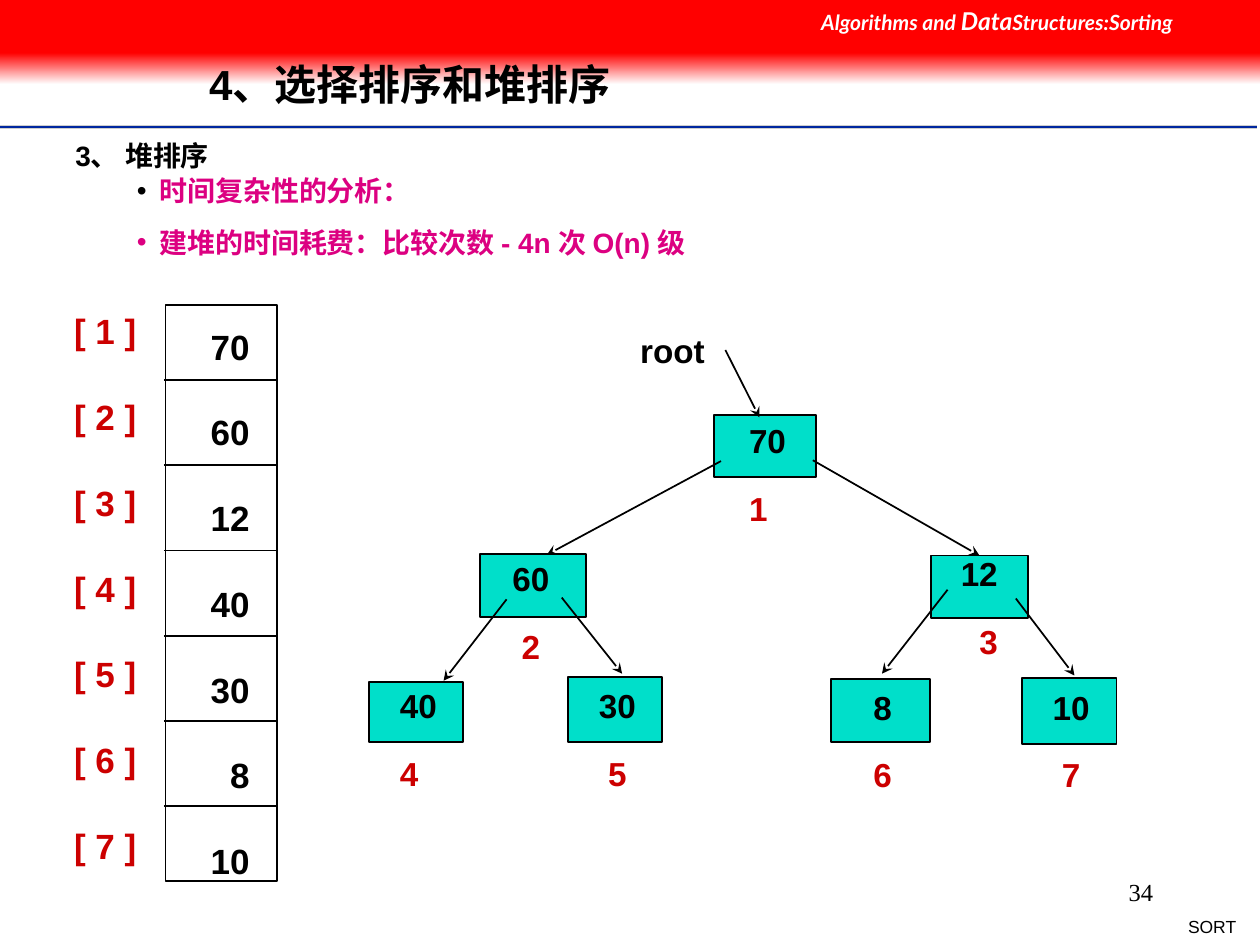
"""Build a slide that shows heap sort as an array beside its binary tree."""
from math import dist
from lxml import etree
from pptx import Presentation
from pptx.dml.color import RGBColor
from pptx.enum import shapes, text
from pptx.oxml.ns import qn
from pptx.util import Pt

BLACK, WHITE, RED, BANNER, PINK, TEAL = "000000", "FFFFFF", "CC0000", "FF0000", "DC0081", "00DFCA"
LEFT, RIGHT = text.PP_ALIGN.LEFT, text.PP_ALIGN.RIGHT

TITLE = "4、选择排序和堆排序"
HEADING = "3、 堆排序"
POINTS = [("时间复杂性的分析：", BLACK), ("建堆的时间耗费：比较次数 - 4n 次 O(n) 级", PINK)]
COURSE = [("Algorithms and ", 12), ("Data", 14), ("Structures:Sorting", 12)]
HEAP = [70, 60, 12, 40, 30, 8, 10]
RULES = [("CECECE", 2, 72.7), ("00279F", 1, 72.7), (WHITE, 1, 74.2)]
NODES = [
    {"box": (408, 237, 58.5, 35.5), "label": (422, 237), "indent": 0},
    {"box": (274.5, 316.5, 60.5, 36), "label": (286.8, 316), "indent": 5.3},
    {"box": (532, 317.5, 55.5, 35.5), "label": (543, 313.2), "indent": 10.6},
    {"box": (211, 389.5, 53.5, 34.5), "label": (222.5, 388.8), "indent": 0},
    {"box": (324.5, 387, 54, 37), "label": (336.2, 388.8), "indent": 5.3},
    {"box": (475, 388, 56.5, 36), "label": (493, 389.5), "indent": 0},
    {"box": (584, 387.5, 54, 37.5), "label": (595.5, 389.5), "indent": 5.3},
]
ARROWS = [
    ((414.5, 200), (434, 238.5)),
    ((412, 263.5), (312.5, 317)),
    ((464.5, 263), (558, 317.5)),
    ((289.5, 342.5), (253.5, 389)),
    ((321, 341.5), (355.5, 385)),
    ((541.5, 337), (504, 385)),
    ((580.5, 342), (614, 386)),
]

deck = Presentation()
deck.slide_width, deck.slide_height = Pt(720), Pt(540)
slide = deck.slides.add_slide(deck.slide_layouts[1])


def rgb(value):
    return RGBColor.from_string(value)


def place(shape, box):
    shape.left, shape.top, shape.width, shape.height = map(Pt, box)
    return shape


def write(frame, paragraphs, size=16, color=BLACK, font="Arial", bold=True, italic=False,
          align=LEFT, before=0, pad=(7.2, 3.6), wrap=True, anchor=text.MSO_ANCHOR.TOP):
    """Fill a frame; each paragraph is a string or a list of (text, size) runs."""
    frame.word_wrap, frame.auto_size, frame.vertical_anchor = wrap, text.MSO_AUTO_SIZE.NONE, anchor
    frame.margin_left = frame.margin_right = Pt(pad[0])
    frame.margin_top = frame.margin_bottom = Pt(pad[1])
    for number, content in enumerate(paragraphs):
        line = frame.add_paragraph() if number else frame.paragraphs[0]
        line.alignment, line.space_before = align, Pt(before if number else 0)
        for words, points in [(content, size)] if isinstance(content, str) else content:
            run = line.add_run()
            run.text = words
            run.font.name, run.font.size = font, Pt(points)
            run.font.bold, run.font.italic = bold, italic
            run.font.color.rgb = rgb(color)
    return frame


def label(box, paragraphs, **style):
    return write(place(slide.shapes.add_textbox(0, 0, 0, 0), box).text_frame, paragraphs, **style)


def rectangle(box, fill=None, outline=None):
    shape = slide.shapes.add_shape(shapes.MSO_SHAPE.RECTANGLE, *map(Pt, box))
    shape.shadow.inherit = False
    if fill:
        shape.fill.solid()
        shape.fill.fore_color.rgb = rgb(fill)
    else:
        shape.fill.background()
    if outline:
        shape.line.color.rgb, shape.line.width = rgb(outline), Pt(1)
    else:
        shape.line.fill.background()
    return shape


def connect(start, end, color=BLACK, width=1, arrow=False):
    line = slide.shapes.add_connector(shapes.MSO_CONNECTOR.STRAIGHT, *map(Pt, start + end))
    line.line.color.rgb, line.line.width = rgb(color), Pt(width)
    if arrow:
        etree.SubElement(line.line._get_or_add_ln(), qn("a:tailEnd"), type="stealth")
    etree.SubElement(line.element.spPr, qn("a:effectLst"))
    return line


def draw_header():
    for color, width, y in RULES:
        connect((0, y), (718.5, y), color, width)
    fade = rectangle((0, 30.2, 720, 18), BANNER)
    fade.fill.gradient()
    fade.fill.gradient_angle = 270
    for stop, color in zip(fade.fill.gradient_stops, (BANNER, WHITE)):
        stop.color.rgb = rgb(color)
    rectangle((0, 0, 720, 30.3), BANNER)
    label((462.2, 0, 257.8, 24.5), [COURSE], color=WHITE, font="Lato", italic=True)
    label((671, 519.8, 42.5, 19.4), ["SORT"], size=10, bold=False, align=RIGHT, wrap=False)
    label((516.2, 491.8, 149.8, 36), ["34"], size=14, font="Times New Roman", bold=False,
          align=RIGHT, anchor=text.MSO_ANCHOR.MIDDLE)


def draw_outline():
    title = place(slide.shapes.title, (112.3, 23, 543.6, 53.3))
    title.element.getparent().append(title.element)
    write(title.text_frame, [TITLE], size=24, anchor=text.MSO_ANCHOR.MIDDLE)
    title.text_frame.paragraphs[0].line_spacing = 0.9
    label((36, 75.6, 162, 26.6), [HEADING])
    body = place(slide.placeholders[1], (0, 95.8, 702, 58.3)).text_frame
    write(body, [words for words, _ in POINTS], color=PINK, before=10)
    for line, (_, dot) in zip(body.paragraphs, POINTS):
        props = line._p.get_or_add_pPr()
        props.set("marL", str(Pt(84)))
        props.set("indent", str(Pt(-13)))
        etree.SubElement(etree.SubElement(props, qn("a:buClr")), qn("a:srgbClr"), val=dot)
        etree.SubElement(props, qn("a:buFont"), typeface="Arial")
        etree.SubElement(props, qn("a:buChar"), char="•")


def draw_array():
    rectangle((94.5, 174.3, 63.7, 329), outline=BLACK)
    for row in range(len(HEAP) - 1):
        y = 217.2 + 48.7 * row
        connect((93.6, y), (158.4, y))
    column = {"size": 20, "before": 25, "wrap": False}
    label((35.3, 173.5, 50.4, 340), [f"[ {i} ]" for i in range(1, len(HEAP) + 1)],
          color=RED, **column)
    label((113, 182.2, 36.7, 320), [str(value) for value in HEAP], align=RIGHT, **column)


def draw_tree():
    boxes = [rectangle(node["box"], TEAL, BLACK) for node in NODES]
    for box, (start, end) in zip(boxes, ARROWS):
        line = connect(start, end, arrow=True)
        top_middle = (box.left + box.width / 2, box.top)
        if dist(top_middle, map(Pt, end)) < Pt(3):
            line.end_connect(box, 0)
    for index, (node, value) in enumerate(zip(NODES, HEAP), 1):
        frame = label(node["label"] + (40, 68.4), [str(value), str(index)], size=19,
                      before=16, pad=(6, 3))
        number = frame.paragraphs[1]
        number.runs[0].font.color.rgb = rgb(RED)
        number._p.get_or_add_pPr().set("marL", str(Pt(node["indent"])))
    label((359.8, 185.8, 60, 28.8), ["root"], size=19, pad=(6, 3))


draw_header()
draw_outline()
draw_array()
draw_tree()
deck.save("out.pptx")
